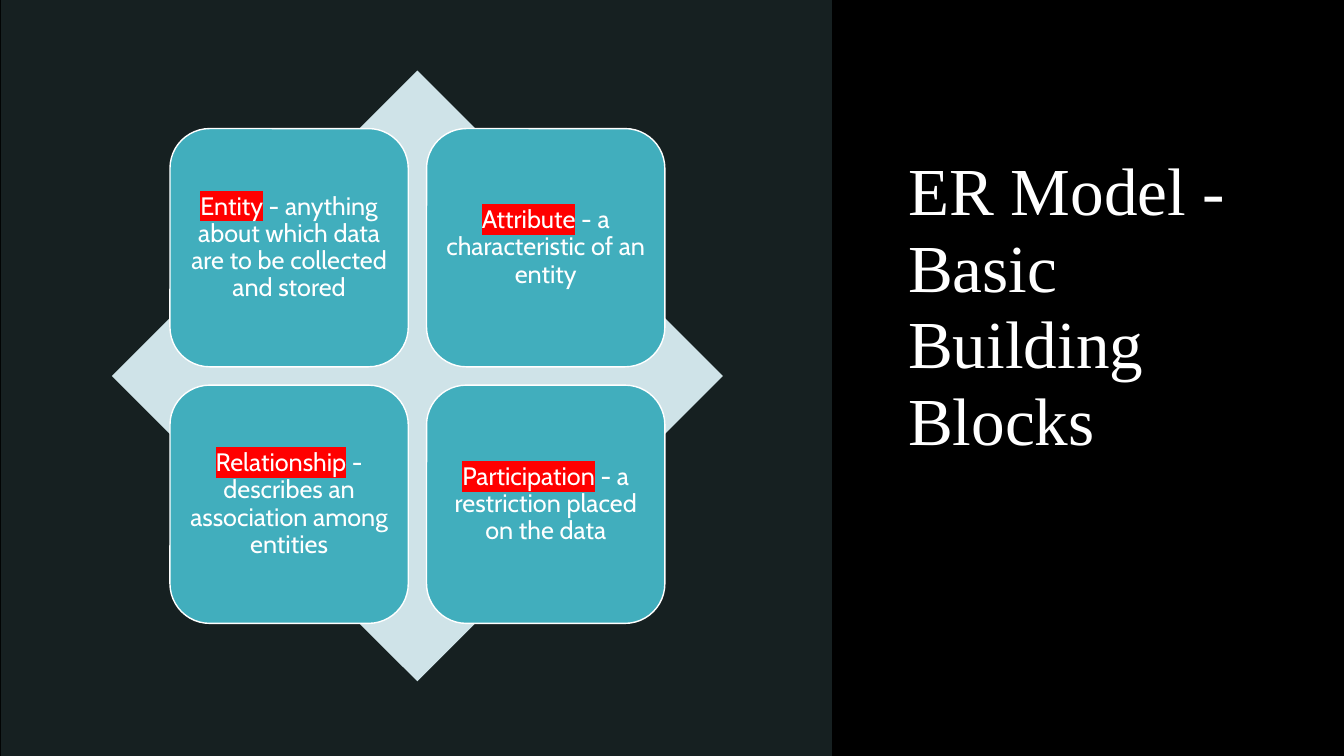
from lxml import etree
from pptx import Presentation
from pptx import util as u
from pptx.dml.color import RGBColor
from pptx.enum import shapes, text
from pptx.oxml.ns import qn

W, H = 13.33, 7.5
PANEL_W = 0.62 * W
COLORS = {"black": "000000", "panel": "94D7E4", "diamond": "CFE3E8",
          "card": "41AEBD", "white": "FFFFFF", "highlight": "FF0000"}
BLOCKS = [
    ("Entity", " - anything about which data are to be collected and stored"),
    ("Attribute", " - a characteristic of an entity"),
    ("Relationship", " - describes an association among entities"),
    ("Participation", " - a restriction placed on the data"),
]


def rgb(name):
    return RGBColor.from_string(COLORS[name])


def add_shape(parent, kind, box, fill, line=None):
    sp = parent.add_shape(kind, *[u.Inches(v) for v in box])
    sp.shadow.inherit = False
    sp.fill.solid()
    sp.fill.fore_color.rgb = rgb(fill)
    if line:
        sp.line.color.rgb = rgb(line)
        sp.line.width = u.Pt(1)
    else:
        sp.line.fill.background()
    return sp


def style_run(r, size, font, highlight=None):
    r.font.size = u.Pt(size)
    r.font.color.rgb = rgb("white")
    if highlight:
        hl = etree.SubElement(r.font._element, qn("a:highlight"))
        etree.SubElement(hl, qn("a:srgbClr"), val=COLORS[highlight])
    r.font.name = font


def add_panels(s):
    """Tinted panel on the left, black panel on the right."""
    rect = shapes.MSO_SHAPE.RECTANGLE
    tinted = add_shape(s.shapes, rect, (0.01, 0, PANEL_W - 0.02, H), "panel")
    color = tinted.fill._xPr.find(qn("a:solidFill"))[0]
    etree.SubElement(color, qn("a:alpha"), val="15000")
    add_shape(s.shapes, rect, (PANEL_W - 0.01, 0, W - PANEL_W + 0.01, H), "black")


def add_title(s, title, box):
    tf = s.shapes.add_textbox(*[u.Inches(v) for v in box]).text_frame
    tf.word_wrap = True
    tf.text = title
    p = tf.paragraphs[0]
    p.line_spacing = 0.95
    style_run(p.runs[0], 48, "Times New Roman")


def add_card(parent, box, term, meaning):
    sp = add_shape(parent, shapes.MSO_SHAPE.ROUNDED_RECTANGLE, box, "card", "white")
    tf = sp.text_frame
    tf.word_wrap = True
    tf.vertical_anchor = text.MSO_ANCHOR.MIDDLE
    tf.margin_left = tf.margin_right = tf.margin_top = tf.margin_bottom = u.Inches(0.07)
    tf.text = term
    p = tf.paragraphs[0]
    p.alignment = text.PP_ALIGN.CENTER
    p.line_spacing = 0.9
    p.space_after = u.Pt(6.3)
    p.add_run().text = meaning
    for r, highlight in zip(p.runs, ("highlight", None)):
        style_run(r, 18, "Cabin", highlight)


def add_matrix(s, x, y, side):
    """Diamond with a two by two grid of cards, sized as shares of its side."""
    group = s.shapes.add_group_shape().shapes
    add_shape(group, shapes.MSO_SHAPE.DIAMOND, (x, y, side, side), "diamond")
    card, pitch, inset = 0.39 * side, 0.42 * side, 0.095 * side
    for i, (term, meaning) in enumerate(BLOCKS):
        row, col = divmod(i, 2)
        box = (x + inset + col * pitch, y + inset + row * pitch, card, card)
        add_card(group, box, term, meaning)


def main():
    prs = Presentation()
    prs.slide_width, prs.slide_height = u.Inches(W), u.Inches(H)
    s = prs.slides.add_slide(prs.slide_layouts[6])
    s.background.fill.solid()
    s.background.fill.fore_color.rgb = rgb("black")
    add_panels(s)
    add_title(s, "ER Model - Basic Building Blocks", (8.91, 1.48, 3.74, 5.28))
    add_matrix(s, 1.11, 0.7, 6.06)
    prs.save("out.pptx")


if __name__ == "__main__":
    main()
